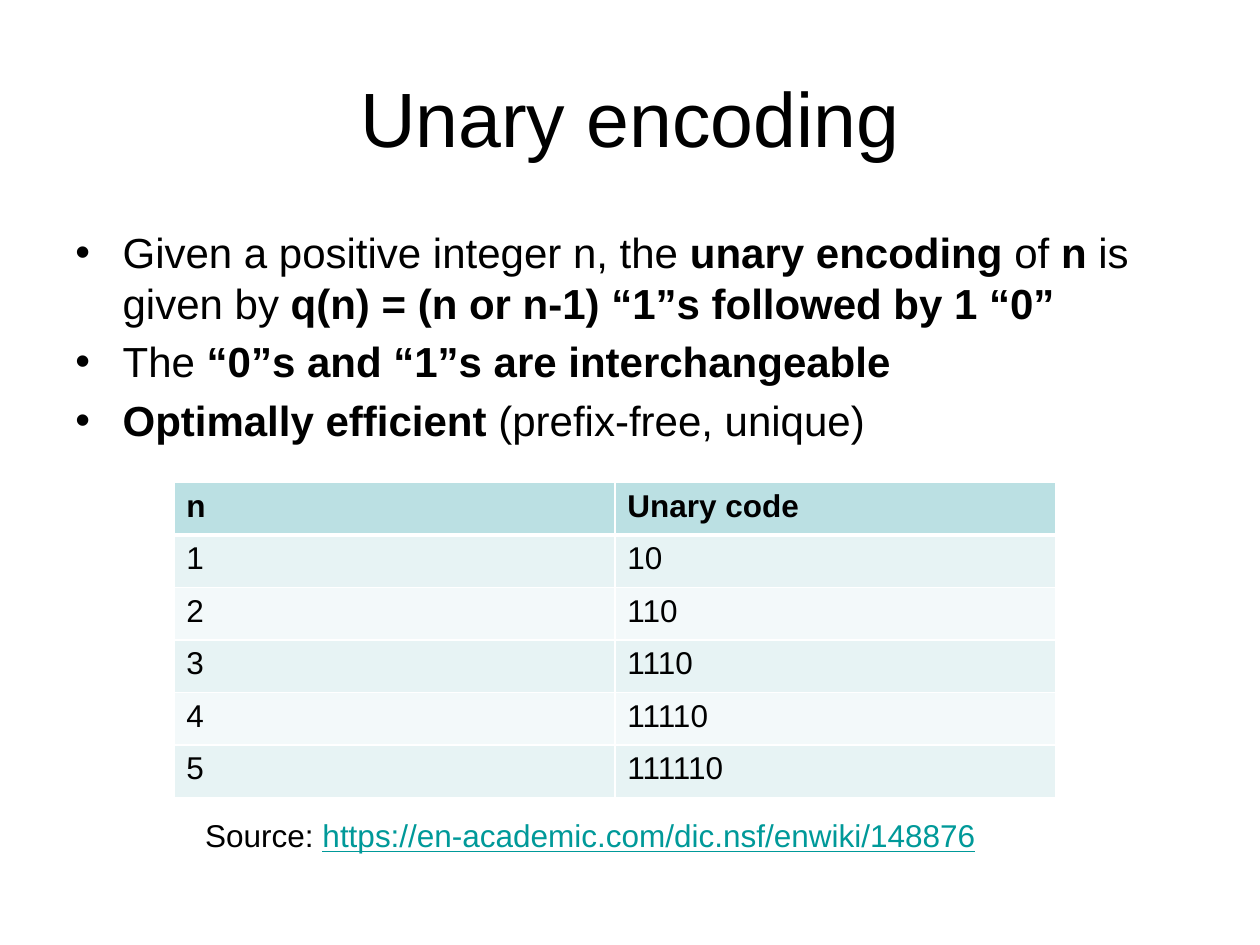
"""Build the slide on unary encoding."""
from lxml.etree import SubElement
from pptx import Presentation
from pptx.dml.color import RGBColor
from pptx.enum.text import MSO_ANCHOR, PP_ALIGN
from pptx.oxml import parse_xml
from pptx.oxml.ns import nsdecls, qn
from pptx.util import Pt

INK, LINK, WHITE = "000000", "009999", "FFFFFF"
HEAD, BANDS = "BBE0E3", ("E7F3F4", "F3F9FA")
TITLE = "Unary encoding"
POINTS = [
    [("Given a positive integer n, the ", False), ("unary encoding", True),
     (" of ", False), ("n", True), (" is given by ", False),
     ("q(n) = (n or n-1) “1”s followed by 1 “0”", True)],
    [("The ", False), ("“0”s and “1”s are interchangeable", True)],
    [("Optimally efficient ", True), ("(prefix-free, unique)", False)],
]
ROWS = [("n", "Unary code"), ("1", "10"), ("2", "110"),
        ("3", "1110"), ("4", "11110"), ("5", "111110")]
SOURCE = [("Source: ", INK, False),
          ("https://en-academic.com/dic.nsf/enwiki/148876", LINK, True)]


def paint(hue):
    return RGBColor.from_string(hue)


def add_run(para, text, size, hue=INK, bold=False, under=None):
    run = para.add_run()
    run.text = text
    font = run.font
    font.name, font.size, font.bold = "Arial", Pt(size), bold
    font.underline = under
    font.color.rgb = paint(hue)


def add_box(slide, left, top, width, height):
    box = slide.shapes.add_textbox(Pt(left), Pt(top), Pt(width), Pt(height))
    box.text_frame.word_wrap = True
    return box.text_frame


def add_list(frame):
    for i, parts in enumerate(POINTS):
        para = frame.add_paragraph() if i else frame.paragraphs[0]
        props = para._p.get_or_add_pPr()
        props.set("marL", str(Pt(27)))
        props.set("indent", str(-Pt(27)))
        SubElement(props, qn("a:buFont")).set("typeface", "Arial")
        SubElement(props, qn("a:buChar")).set("char", "•")
        para.line_spacing = Pt(28.8)
        if i:
            para.space_before = Pt(4.8)
        for text, bold in parts:
            add_run(para, text, 24, bold=bold)


def add_edges(cell, low):
    props = cell._tc.get_or_add_tcPr()
    for i, (side, width) in enumerate(zip("LRTB", (1, 1, 1, low))):
        props.insert(i, parse_xml(
            f'<a:ln{side} {nsdecls("a")} w="{Pt(width)}"><a:solidFill>'
            f'<a:srgbClr val="{WHITE}"/></a:solidFill></a:ln{side}>'))


def add_codes(slide):
    table = slide.shapes.add_table(len(ROWS), 2, Pt(99.36), Pt(275.76),
                                   Pt(504), Pt(180)).table
    for i, row in enumerate(ROWS):
        for j, text in enumerate(row):
            cell = table.cell(i, j)
            cell.fill.solid()
            cell.fill.fore_color.rgb = paint(BANDS[(i - 1) % 2] if i else HEAD)
            add_edges(cell, 1 if i else 3)
            if i == 1:
                edge = cell._tc.tcPr.find(qn("a:lnT"))
                edge.set("w", str(Pt(3)))
            add_run(cell.text_frame.paragraphs[0], text, 18, bold=not i)


def main():
    deck = Presentation()
    deck.slide_width, deck.slide_height = Pt(720), Pt(540)
    slide = deck.slides.add_slide(deck.slide_layouts[6])

    title = add_box(slide, 36, 21.6, 648, 90)
    title.vertical_anchor = MSO_ANCHOR.MIDDLE
    title.paragraphs[0].alignment = PP_ALIGN.CENTER
    add_run(title.paragraphs[0], TITLE, 44)

    add_list(add_box(slide, 36, 126, 648, 356.4))
    add_codes(slide)

    note = add_box(slide, 110.16, 462.96, 475.92, 34.56)
    for text, hue, under in SOURCE:
        add_run(note.paragraphs[0], text, 18, hue, under=under)
    deck.save("out.pptx")


if __name__ == "__main__":
    main()
